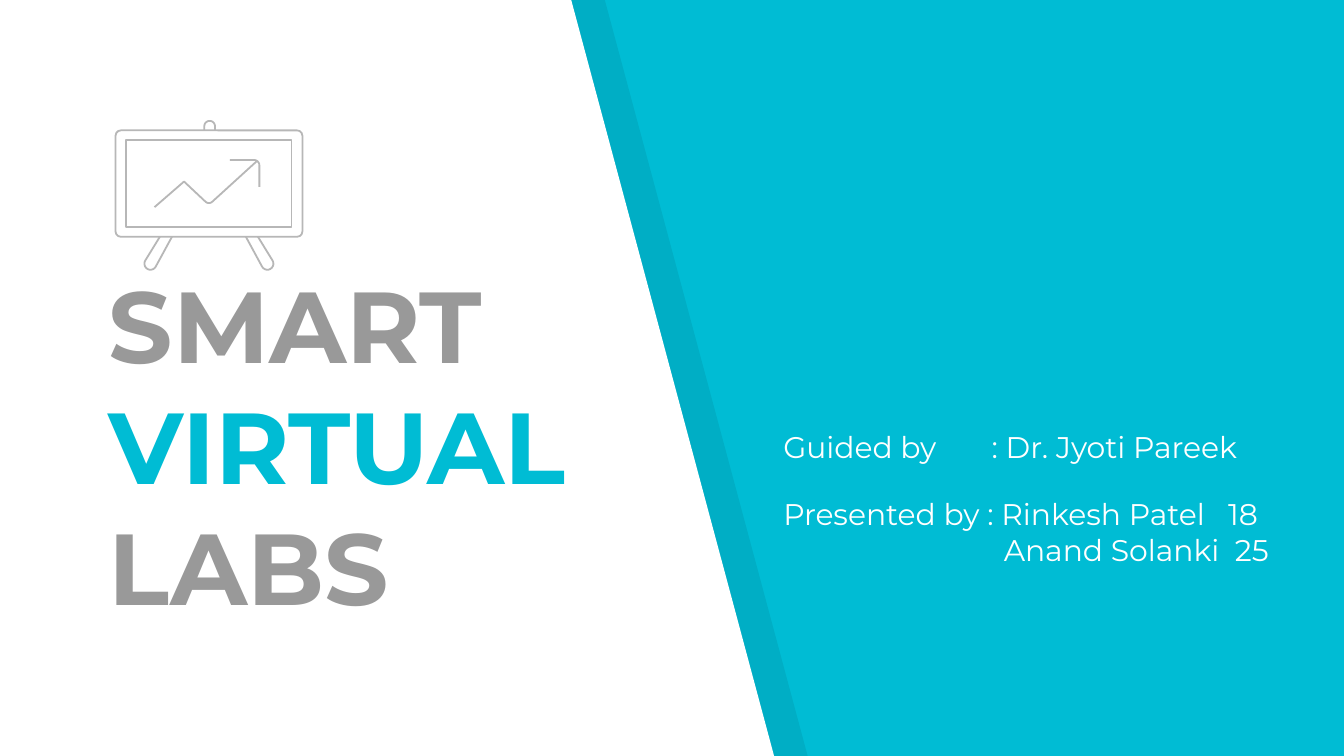
from math import cos, radians, sin

from lxml import etree
from pptx import Presentation
from pptx import util as u
from pptx.dml.color import RGBColor
from pptx.enum import shapes, text
from pptx.oxml import ns

CYAN = RGBColor(0x00, 0xBC, 0xD4)
WHITE = RGBColor(0xFF, 0xFF, 0xFF)
BLACK = RGBColor(0x00, 0x00, 0x00)
GREY = RGBColor(0x99, 0x99, 0x99)
LINE_GREY = RGBColor(0xB7, 0xB7, 0xB7)
FONT = "Montserrat"
WIDTH = u.Inches(10)
HEIGHT = WIDTH * 9 // 16


def share(left, top, width, height):
    """Turn shares of the slide's size into a box."""
    return (int(WIDTH * left), int(HEIGHT * top),
            int(WIDTH * width), int(HEIGHT * height))


def outline(slide, points, closed=False):
    start, *rest = [(round(x), round(y)) for x, y in points]
    builder = slide.shapes.build_freeform(*start)
    builder.add_line_segments(rest, close=closed)
    shape = builder.convert_to_shape()
    shape.shadow.inherit = False
    return shape


def slanted_panel(slide, box, top_share, color, opacity=None):
    """Panel whose right edge leans outwards towards the bottom."""
    left, top, width, height = box
    right, bottom = left + width, top + height
    panel = outline(slide, [(left, top), (left, bottom), (right, bottom),
                            (left + width * top_share, top)], closed=True)
    panel.fill.solid()
    panel.fill.fore_color.rgb = color
    panel.line.fill.background()
    if opacity is not None:
        fill = panel.fill._xPr.find(ns.qn("a:solidFill"))
        etree.SubElement(fill[0], ns.qn("a:alpha"), val=str(opacity * 1000))


def arc(cx, cy, radius, start, end, steps=10):
    angles = [radians(start + (end - start) * i / steps) for i in range(steps + 1)]
    return [(cx + radius * cos(a), cy + radius * sin(a)) for a in angles]


def easel_icon(slide, box):
    """Presentation board on a grid of 139 columns by 110 rows."""
    left, top, width, height = box
    columns, rows = 139, 110
    col, row = width / columns, height / rows

    def pen(shape):
        shape.shadow.inherit = False
        shape.fill.background()
        shape.line.color.rgb = LINE_GREY
        shape.line.width = u.Pt(0.96)

    # Board and its inner frame
    for kind, x, y, w, h in ((shapes.MSO_SHAPE.ROUNDED_RECTANGLE, 0, 7, 139, 79),
                             (shapes.MSO_SHAPE.RECTANGLE, 8, 14, 123, 65)):
        board = slide.shapes.add_shape(kind, round(left + x * col), round(top + y * row),
                                       round(w * col), round(h * row))
        if kind == shapes.MSO_SHAPE.ROUNDED_RECTANGLE:
            board.adjustments[0] = 0.05
        pen(board)

    # Knob, mirrored legs, trend line and its arrowhead
    knob = [(66, 7), *arc(70, 4, 4, 180, 360), (74, 7)]
    left_leg = [(33, 86), *arc(26, 106, 4.5, 210, 30), (42, 86)]
    right_leg = [(columns - x, y) for x, y in left_leg]
    trend = [(105, 30), (72, 60), *arc(69.5, 57.5, 3.5, 45, 135), (67, 60),
             (51, 45), (29, 64)]
    arrowhead = [(85, 29), *arc(103, 33, 4, 270, 360), (107, 49)]
    for points in (knob, left_leg, right_leg, trend, arrowhead):
        pen(outline(slide, [(left + x * col, top + y * row) for x, y in points]))


def style(paragraph, size):
    paragraph.alignment = text.PP_ALIGN.LEFT
    paragraph.font.name = FONT
    paragraph.font.size = u.Pt(size)


def title_block(slide, box, words):
    title = slide.shapes.title
    title.left, title.top, title.width, title.height = box
    # Bring the title in front of the panels
    slide.shapes._spTree.append(title._element)
    frame = title.text_frame
    frame.auto_size = text.MSO_AUTO_SIZE.NONE
    frame.word_wrap = True
    frame.vertical_anchor = text.MSO_ANCHOR.BOTTOM
    frame.margin_left = frame.margin_right = u.Inches(0.1)
    frame.margin_top = frame.margin_bottom = u.Inches(0.1)
    paragraph = frame.paragraphs[0]
    style(paragraph, 54)
    paragraph.font.bold = True
    for i, (word, color) in enumerate(words):
        if i:
            paragraph.add_line_break()
        run = paragraph.add_run()
        run.text = word
        run.font.color.rgb = color


def credits_block(slide, box, lines):
    """Credit lines, each with its own tab stops in inches."""
    frame = slide.shapes.add_textbox(*box).text_frame
    frame.word_wrap = True
    for i, (line, stops) in enumerate(lines):
        paragraph = frame.add_paragraph() if i else frame.paragraphs[0]
        paragraph.text = line
        style(paragraph, 16)
        paragraph.font.color.rgb = WHITE
        tabs = etree.Element(ns.qn("a:tabLst"))
        for stop in stops:
            etree.SubElement(tabs, ns.qn("a:tab"), pos=str(u.Inches(stop)), algn="l")
        # Tab stops come before the default run properties
        paragraph.font._rPr.addprevious(tabs)


def main():
    deck = Presentation()
    deck.slide_width, deck.slide_height = WIDTH, HEIGHT
    slide = deck.slides.add_slide(deck.slide_layouts[5])
    slide.background.fill.solid()
    slide.background.fill.fore_color.rgb = CYAN

    # Shade first, then the white panel over it
    slanted_panel(slide, share(0.025, 0, 0.576, 1), 0.738, BLACK, opacity=7)
    slanted_panel(slide, share(0, 0, 0.576, 1), 0.738, WHITE)

    title_block(slide, share(0.071, 0.617, 0.462, 0.229),
                [("SMART", GREY), ("VIRTUAL", CYAN), ("LABS", GREY)])
    easel_icon(slide, share(0.086, 0.16, 0.139, 0.196))

    # Credits
    credits_block(slide, share(0.573, 0.558, 0.391, 0.066),
                  [("Guided by\t: Dr. Jyoti Pareek", [1.55])])
    credits_block(slide, share(0.573, 0.647, 0.391, 0.114),
                  [("Presented by : Rinkesh Patel\t18", [3.31]),
                   ("\tAnand Solanki\t25", [1.64, 3.36])])

    deck.save("out.pptx")


if __name__ == "__main__":
    main()
